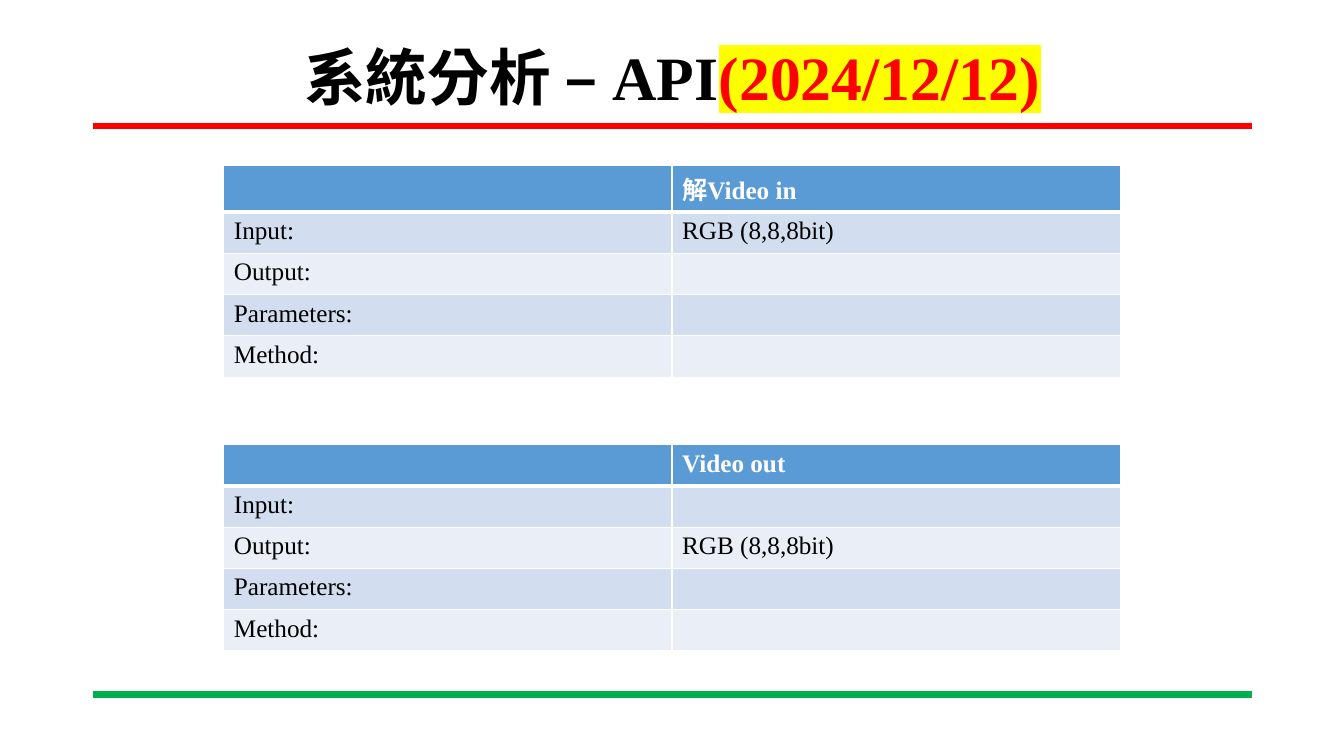
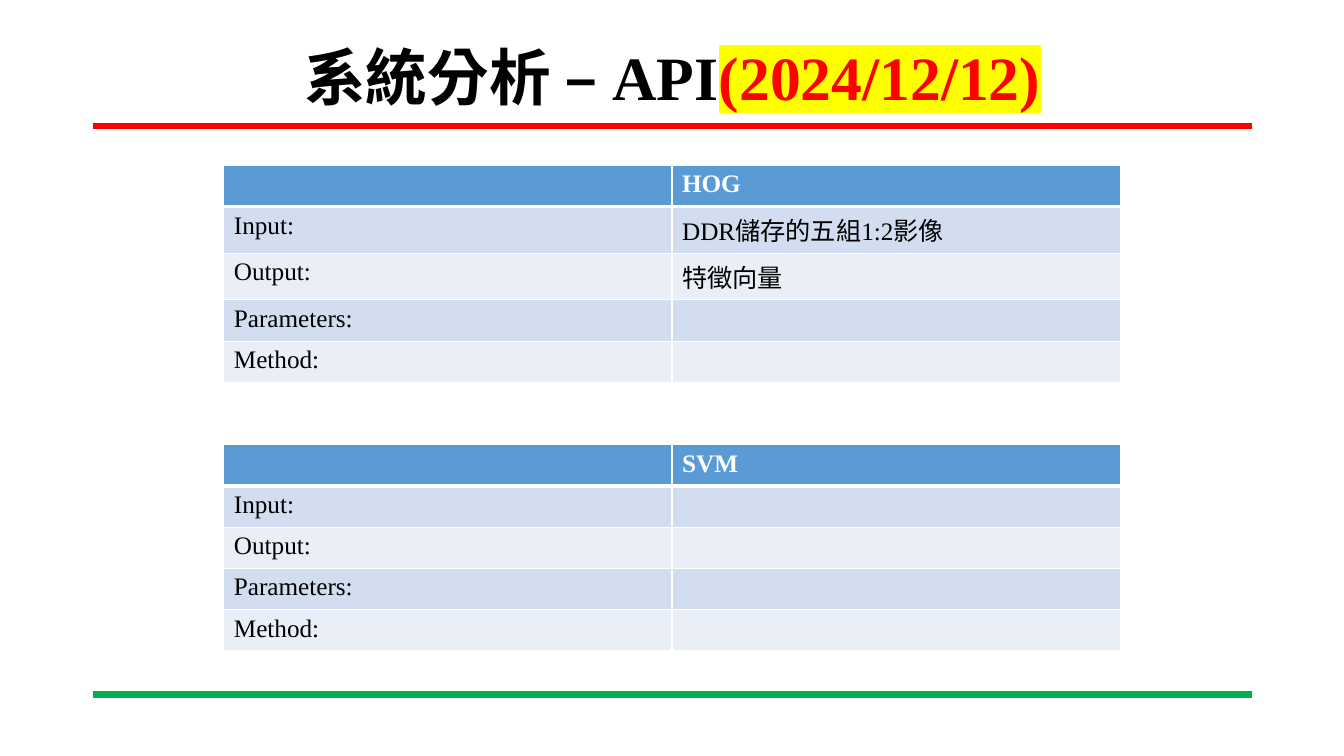
from dataclasses import dataclass, field

from lxml.etree import SubElement
from pptx import Presentation
from pptx.dml.color import RGBColor
from pptx.enum.lang import MSO_LANGUAGE_ID
from pptx.enum.shapes import MSO_CONNECTOR
from pptx.enum.text import MSO_ANCHOR, MSO_AUTO_SIZE, PP_ALIGN
from pptx.oxml.ns import qn
from pptx.slide import Slide
from pptx.table import _Cell
from pptx.text.text import _Paragraph, _Run
from pptx.util import Inches, Pt

FONT = "Times New Roman"
COLORS = {
    "black": "000000",
    "white": "FFFFFF",
    "red": "FF0000",
    "green": "00B050",
    "yellow": "FFFF00",
    "head": "5B9BD5",
    "odd": "D2DEEF",
    "even": "EAEFF7",
}
LABELS = ("Input:", "Output:", "Parameters:", "Method:")
LEFT, WIDTH = 0.92, 11.5
TABLE_LEFT, TABLE_WIDTH, ROW_HEIGHT = 2.22, 8.89, 0.41
TABLE_TOPS = (1.64, 4.41)


@dataclass(frozen=True)
class Rule:
    top: float
    color: str


@dataclass(frozen=True)
class Api:
    name: str
    values: dict[str, str] = field(default_factory=dict)


RULES = (Rule(1.25, "red"), Rule(6.89, "green"))
PAGES = (
    (
        Api("解Video in", {"Input:": "RGB (8,8,8bit)"}),
        Api("Video out", {"Output:": "RGB (8,8,8bit)"}),
    ),
    (
        Api("HOG", {"Input:": "DDR儲存的五組1:2影像", "Output:": "特徵向量"}),
        Api("SVM"),
    ),
)


def rgb(name: str) -> RGBColor:
    return RGBColor.from_string(COLORS[name])


def add_run(para: _Paragraph, text: str, size: int, color: str, bold: bool) -> _Run:
    run = para.add_run()
    run.text = text
    font = run.font
    font.name, font.size, font.bold = FONT, Pt(size), bold
    font.color.rgb = rgb(color)
    font.language_id = MSO_LANGUAGE_ID.TRADITIONAL_CHINESE
    return run


def mark(run: _Run, color: str) -> None:
    props = run.font._element
    light = SubElement(props, qn("a:highlight"))
    SubElement(light, qn("a:srgbClr"), val=COLORS[color])
    props.find(qn("a:solidFill")).addnext(light)


def add_title(slide: Slide) -> None:
    title = slide.shapes.title
    title.left, title.top = Inches(LEFT), Inches(0.4)
    title.width, title.height = Inches(WIDTH), Inches(0.79)
    frame = title.text_frame
    frame.auto_size = MSO_AUTO_SIZE.NONE
    frame.word_wrap = True
    frame.vertical_anchor = MSO_ANCHOR.MIDDLE
    para = frame.paragraphs[0]
    para.alignment = PP_ALIGN.CENTER
    para.line_spacing = 0.9
    add_run(para, "系統分析 – API", 44, "black", True)
    mark(add_run(para, "(2024/12/12)", 44, "red", True), "yellow")


def add_rule(slide: Slide, rule: Rule) -> None:
    line = slide.shapes.add_connector(
        MSO_CONNECTOR.STRAIGHT,
        Inches(LEFT), Inches(rule.top), Inches(LEFT + WIDTH), Inches(rule.top),
    )
    line.line.color.rgb = rgb(rule.color)
    line.line.width = Pt(4.5)
    SubElement(line._element.spPr, qn("a:effectLst"))


def style_cell(cell: _Cell, row: int) -> None:
    props = cell._tc.get_or_add_tcPr()
    widths = {"L": 1, "R": 1, "T": 3 if row == 1 else 1, "B": 3 if row == 0 else 1}
    for side, width in widths.items():
        edge = SubElement(props, qn(f"a:ln{side}"), w=str(Pt(width)))
        fill = SubElement(edge, qn("a:solidFill"))
        SubElement(fill, qn("a:srgbClr"), val=COLORS["white"])
    cell.fill.solid()
    cell.fill.fore_color.rgb = rgb("head" if row == 0 else "odd" if row % 2 else "even")


def add_api(slide: Slide, api: Api, top: float) -> None:
    rows = [("", api.name)] + [(label, api.values.get(label, "")) for label in LABELS]
    table = slide.shapes.add_table(
        len(rows), 2, Inches(TABLE_LEFT), Inches(top),
        Inches(TABLE_WIDTH), Inches(ROW_HEIGHT * len(rows)),
    ).table
    for row, texts in enumerate(rows):
        for col, text in enumerate(texts):
            cell = table.cell(row, col)
            style_cell(cell, row)
            if text:
                color = "white" if row == 0 else "black"
                add_run(cell.text_frame.paragraphs[0], text, 18, color, row == 0)


def main() -> None:
    deck = Presentation()
    deck.slide_width, deck.slide_height = Inches(13.33), Inches(7.5)
    for page in PAGES:
        slide = deck.slides.add_slide(deck.slide_layouts.get_by_name("Title Only"))
        for rule in RULES:
            add_rule(slide, rule)
        add_title(slide)
        for api, top in zip(page, TABLE_TOPS):
            add_api(slide, api, top)
    deck.save("out.pptx")


if __name__ == "__main__":
    main()
